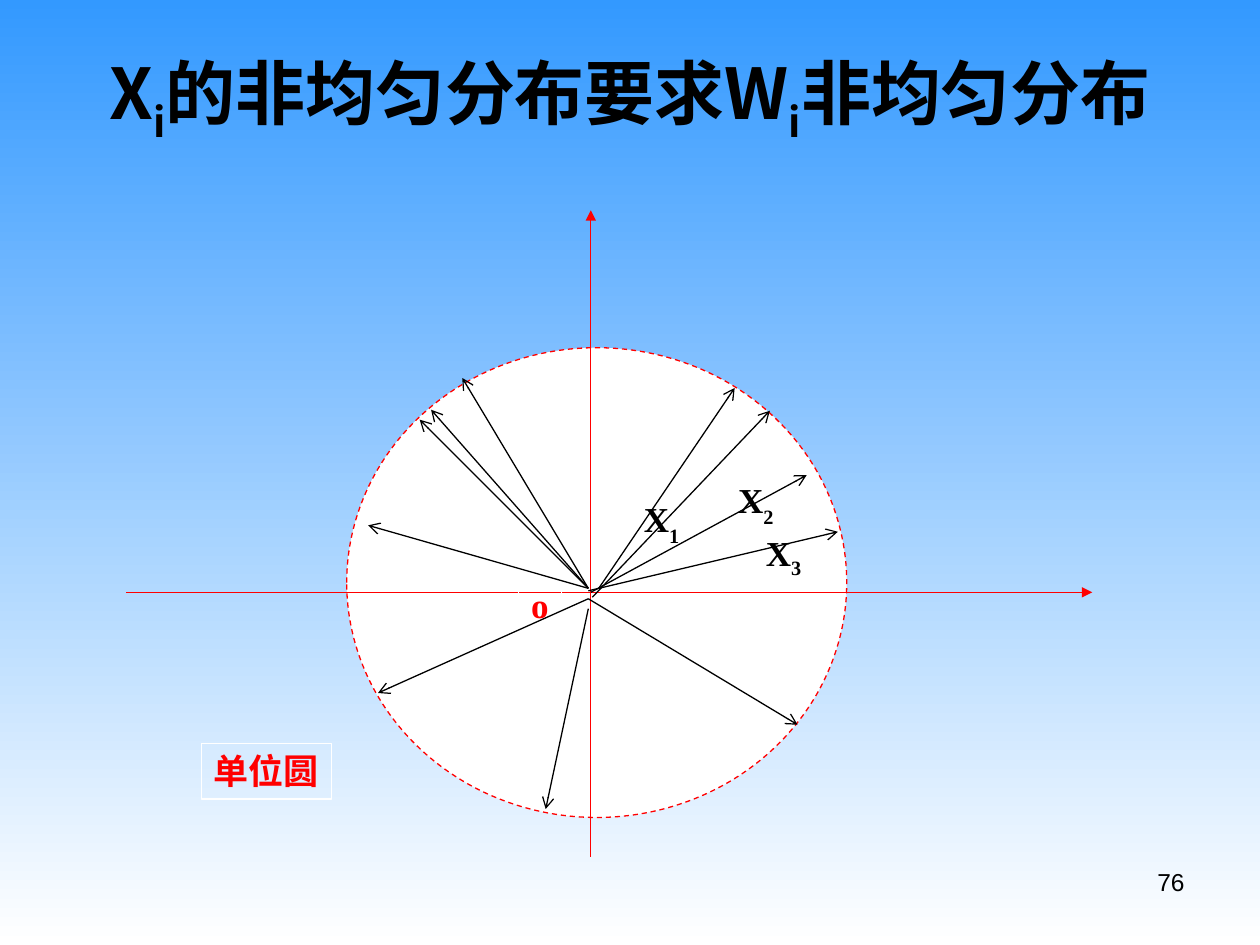
"""Build the unit circle slide on non-uniform distributions of X and W."""
import pptx
import pptx.dml.color
import pptx.enum.dml
import pptx.enum.shapes
import pptx.enum.text
import pptx.oxml.ns
import pptx.util
from lxml import etree

Cm = pptx.util.Cm
Pt = pptx.util.Pt
RGBColor = pptx.dml.color.RGBColor
ALIGN = pptx.enum.text.PP_ALIGN
ANCHOR = pptx.enum.text.MSO_ANCHOR
qn = pptx.oxml.ns.qn

SKY = RGBColor(0x33, 0x99, 0xFF)
WHITE = RGBColor(0xFF, 0xFF, 0xFF)
RED = RGBColor(0xFF, 0x00, 0x00)
BLACK = RGBColor(0x00, 0x00, 0x00)
SANS, SERIF, PLAIN = "Noto Sans CJK SC", "Times New Roman", "Arial"

TITLE = [("X", 0), ("i", -25), ("的非均匀分布要求W", 0), ("i", -25), ("非均匀分布", 0)]
TITLE_BOX = (1.27, 0.76, 22.86, 2.41)
PAGE_NUMBER = "76"
PAGE_NUMBER_BOX = (18.21, 17.35, 5.92, 1.32)
UNIT_CIRCLE = (6.99, 7.01, 10.08, 9.47)
AXES = [
    ((2.54, 11.94), (22.02, 11.94)),
    ((11.91, 17.27), (11.91, 4.24)),
]
FRAMED_LABELS = [
    ("o", (10.46, 11.63, 0.86, 1.12)),
    ("单位圆", (4.06, 14.99, 2.62, 1.12)),
]
VECTOR_LABELS = [
    ("1", -30, (12.73, 9.91, 1.22, 1.27)),
    ("2", -30, (14.63, 9.53, 1.22, 1.27)),
    ("3", -25, (15.19, 10.59, 1.22, 1.22)),
]
VECTORS = [
    ((11.91, 11.94), [(16.26, 9.58)]),
    ((11.94, 12.04), [(15.52, 8.28)]),
    ((11.86, 11.91), [(16.89, 10.72)]),
    ((11.86, 12.07), [(16.08, 14.61), (7.62, 13.97)]),
    ((11.86, 11.86), [(9.32, 7.62), (8.69, 8.26), (8.46, 8.46), (7.42, 10.59)]),
    ((11.86, 12.27), [(11, 16.31)]),
    ((12.07, 11.86), [(14.81, 7.82)]),
]


def add_arrow(slide, start, end, color, head):
    arrow = slide.shapes.add_connector(
        pptx.enum.shapes.MSO_CONNECTOR.STRAIGHT, *map(Cm, start + end))
    arrow.line.color.rgb = color
    arrow.line.width = Pt(0.75)
    properties = arrow.element.spPr
    etree.SubElement(properties.find(qn("a:ln")), qn("a:tailEnd"), type=head)
    etree.SubElement(properties, qn("a:effectLst"))


def add_text(slide, box, runs, size, font, color, align=ALIGN.JUSTIFY,
             bold=True, wrap=False, anchor=ANCHOR.TOP):
    label = slide.shapes.add_textbox(*map(Cm, box))
    frame = label.text_frame
    frame.word_wrap = wrap
    frame.vertical_anchor = anchor
    paragraph = frame.paragraphs[0]
    paragraph.alignment = align
    for text, offset in runs:
        run = paragraph.add_run()
        run.text = text
        run.font.size = Pt(size)
        run.font.bold = bold
        run.font.name = font
        run.font.color.rgb = color
        properties = run.font._element
        etree.SubElement(properties, qn("a:ea"), typeface=SANS)
        if offset:
            properties.set("baseline", str(offset * 1000))
    return label


def main():
    deck = pptx.Presentation()
    deck.slide_width, deck.slide_height = Cm(25.4), Cm(19.05)
    slide = deck.slides.add_slide(deck.slide_layouts[6])

    sky = slide.background.fill
    sky.gradient()
    sky.gradient_angle = 270
    for stop, position, color in zip(sky.gradient_stops, (0, 1), (SKY, WHITE)):
        stop.position = position
        stop.color.rgb = color

    circle = slide.shapes.add_shape(
        pptx.enum.shapes.MSO_SHAPE.OVAL, *map(Cm, UNIT_CIRCLE))
    circle.shadow.inherit = False
    circle.fill.solid()
    circle.fill.fore_color.rgb = WHITE
    circle.line.color.rgb = RED
    circle.line.width = Pt(0.75)
    circle.line.dash_style = pptx.enum.dml.MSO_LINE.DASH

    for start, end in AXES:
        add_arrow(slide, start, end, RED, "triangle")
    for text, box in FRAMED_LABELS:
        label = add_text(slide, box, [(text, 0)], 20, SERIF, RED)
        label.line.color.rgb = WHITE
        label.line.width = Pt(0.75)

    add_text(slide, TITLE_BOX, TITLE, 40, SANS, BLACK, ALIGN.CENTER,
             wrap=True, anchor=ANCHOR.MIDDLE)
    for index, offset, box in VECTOR_LABELS:
        add_text(slide, box, [("X", 0), (index, offset)], 20, SERIF, BLACK)
    for start, tips in VECTORS:
        for tip in tips:
            add_arrow(slide, start, tip, BLACK, "arrow")
    add_text(slide, PAGE_NUMBER_BOX, [(PAGE_NUMBER, 0)], 14, PLAIN, BLACK,
             ALIGN.RIGHT, bold=False, wrap=True)

    deck.save("out.pptx")


if __name__ == "__main__":
    main()
